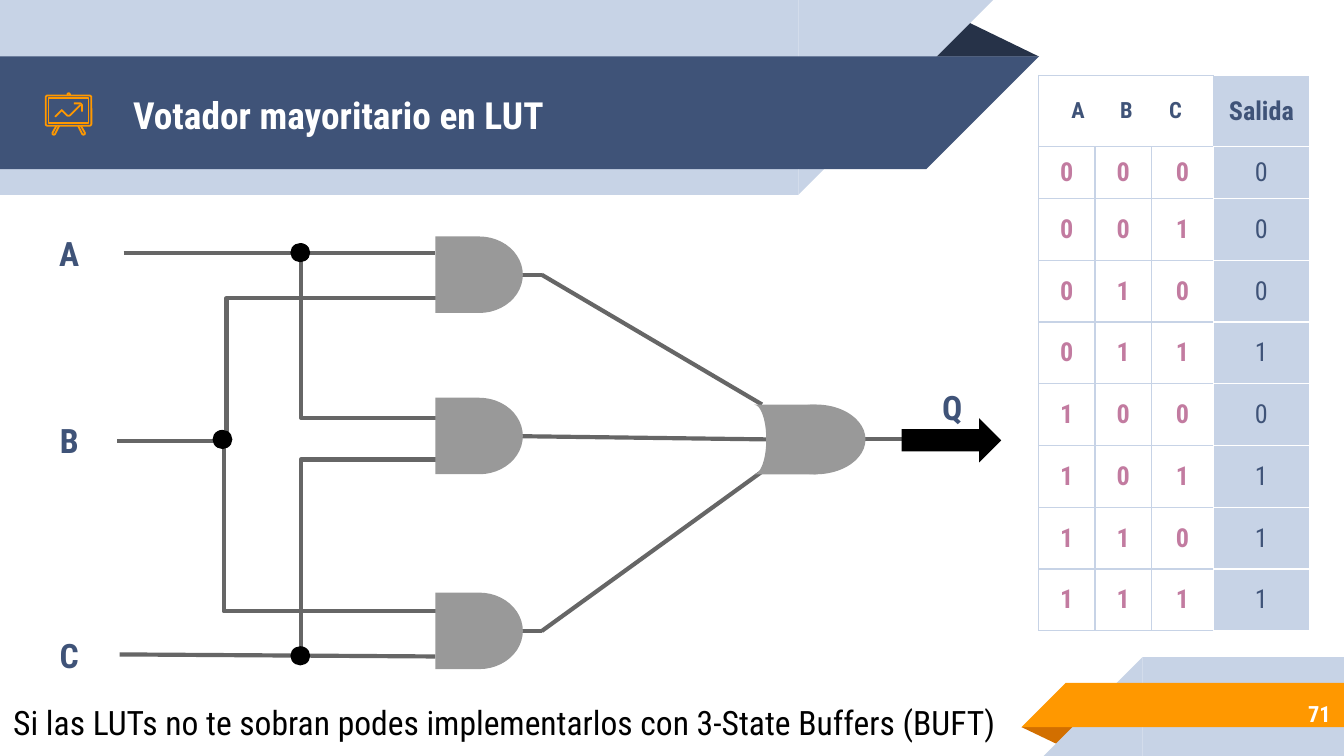
from lxml import etree
from pptx import Presentation
from pptx.dml.color import RGBColor
from pptx.enum.shapes import MSO_CONNECTOR, MSO_SHAPE
from pptx.enum.text import MSO_ANCHOR, PP_ALIGN
from pptx.oxml.ns import qn
from pptx.util import Pt

RECT, CORNER, TRIANGLE = MSO_SHAPE.RECTANGLE, MSO_SHAPE.RIGHT_TRIANGLE, MSO_SHAPE.ISOSCELES_TRIANGLE
AND_GATE, OR_BACK, OVAL = MSO_SHAPE.FLOWCHART_DELAY, MSO_SHAPE.FLOWCHART_STORED_DATA, MSO_SHAPE.OVAL
ROUNDED, ARROW = MSO_SHAPE.ROUNDED_RECTANGLE, MSO_SHAPE.RIGHT_ARROW
STRAIGHT, ELBOW = MSO_CONNECTOR.STRAIGHT, MSO_CONNECTOR.ELBOW
LEFT, CENTER, RIGHT = PP_ALIGN.LEFT, PP_ALIGN.CENTER, PP_ALIGN.RIGHT
TOP, MIDDLE = MSO_ANCHOR.TOP, MSO_ANCHOR.MIDDLE

WHITE = RGBColor(0xFF, 0xFF, 0xFF)
BLACK = RGBColor(0x00, 0x00, 0x00)
NAVY = RGBColor(0x3F, 0x53, 0x78)
DARK = RGBColor(0x26, 0x32, 0x48)
PALE = RGBColor(0xC7, 0xD3, 0xE6)
ORANGE = RGBColor(0xFF, 0x98, 0x00)
RUST = RGBColor(0xD2, 0x6F, 0x00)
GATE = RGBColor(0x99, 0x99, 0x99)
WIRE = RGBColor(0x66, 0x66, 0x66)
PINK = RGBColor(0xC2, 0x7B, 0xA0)


def write(frame, text, size=18, color=NAVY, bold=True, align=CENTER):
    para = frame.paragraphs[0]
    para.alignment = align
    span = para.add_run()
    span.text = text
    span.font.name = "Roboto Condensed"
    span.font.size = Pt(size)
    span.font.bold = bold
    span.font.color.rgb = color


deck = Presentation()
deck.slide_width, deck.slide_height = Pt(720), Pt(405)
page = deck.slides.add_slide(deck.slide_layouts[5])

bands = [
    (TRIANGLE, 495.4, 10.1, 61.2, 20.2, 0, DARK),
    (RECT, 0, 0, 427.7, 104.4, 0, PALE),
    (CORNER, 427.7, 0, 104.4, 104.4, 90, PALE),
    (RECT, 0, 30.2, 496.1, 60.5, 0, NAVY),
    (CORNER, 496.1, 30.2, 60.5, 60.5, 90, NAVY),
    (TRIANGLE, 547.2, 389.5, 31, 10.1, 180, RUST),
    (RECT, 612, 352.1, 108, 52.9, 0, PALE),
    (CORNER, 559.1, 352.1, 52.9, 52.9, 270, PALE),
    (RECT, 571, 365.8, 149, 23.8, 0, ORANGE),
    (CORNER, 547.2, 365.8, 23.8, 23.8, 270, ORANGE),
]
gates = [(AND_GATE, 233.3, top, 46.8, 41, 0, GATE) for top in (126.7, 213.1, 317.5)]
gates += [
    (OR_BACK, 403.9, 216.7, 39.6, 37.4, 180, GATE),
    (OVAL, 410.4, 216.7, 53.3, 37.4, 0, GATE),
    (ARROW, 483.1, 224, 53.3, 23.8, 0, BLACK),
]
dots = [(OVAL, left, top, 10.6, 10.3, 0, BLACK)
        for left, top in ((155.6, 130.2), (113.9, 230.3), (155.6, 346.2))]

wires = [
    (66.2, 135.4, 232.9, 135.4, None),
    (235.4, 159.8, 62.6, 236.2, 0.66),
    (236.2, 223.9, 161.3, 135.4, 1),
    (235.4, 246.2, 161.3, 351.4, 1),
    (236.2, 327.6, 62.6, 236.2, 0.67),
    (64.1, 350.6, 233.3, 351.7, None),
    (279.4, 147.2, 290.2, 147.2, None),
    (290.2, 147.2, 408.2, 216.7, None),
    (279.4, 233.7, 410.4, 235.4, None),
    (279.4, 338.1, 290.2, 338.1, None),
    (290.2, 338.1, 408.2, 252.7, None),
    (459.4, 235.4, 483.1, 235.4, None),
]
for x1, y1, x2, y2, bend in wires:
    wire = page.shapes.add_connector(STRAIGHT if bend is None else ELBOW, Pt(x1), Pt(y1), Pt(x2), Pt(y2))
    wire.line.color.rgb = WIRE
    wire.line.width = Pt(2.25)
    properties = wire.element.spPr
    etree.SubElement(properties, qn("a:effectLst"))
    if bend is not None:
        guides = properties.find(qn("a:prstGeom")).find(qn("a:avLst"))
        etree.SubElement(guides, qn("a:gd"), name="adj1", fmla=f"val {int(bend * 100000)}")

for kind, left, top, width, height, turn, color in bands + gates + dots:
    shape = page.shapes.add_shape(kind, Pt(left), Pt(top), Pt(width), Pt(height))
    shape.shadow.inherit = False
    shape.rotation = turn
    shape.fill.solid()
    shape.fill.fore_color.rgb = color
    shape.line.fill.background()
    if kind == TRIANGLE:
        shape.adjustments[0] = 0.32

icon = []
for kind, left, top, width, height in ((ROUNDED, 24.5, 51.2, 24.5, 16.2), (RECT, 26, 52.7, 21.5, 13.2)):
    icon.append(page.shapes.add_shape(kind, Pt(left), Pt(top), Pt(width), Pt(height)))
icon[0].adjustments[0] = 0.06
left_leg = [(30.2, 67.5), (28.1, 71.2), (28.2, 72), (28.9, 72.2), (29.5, 71.9), (31.7, 67.5)]
strokes = [
    left_leg,
    [(73.6 - x, y) for x, y in left_leg],
    [(37.5, 51.2), (37.4, 50.3), (36.8, 49.9), (36.2, 50.3), (36.1, 51.2)],
    [(43.2, 56.2), (37.4, 61.9), (36.7, 62.1), (36, 61.9), (33.1, 59), (29.5, 62.6)],
    [(39.6, 55.4), (43.2, 55.4), (43.9, 56.2), (43.9, 59.8)],
]
for stroke in strokes:
    corners = [(Pt(x), Pt(y)) for x, y in stroke]
    outline = page.shapes.build_freeform(*corners[0])
    outline.add_line_segments(corners[1:], close=False)
    icon.append(outline.convert_to_shape())
for part in icon:
    part.shadow.inherit = False
    part.fill.background()
    part.line.color.rgb = ORANGE
    part.line.width = Pt(0.96)

title = page.shapes.title
title.left, title.top, title.width, title.height = Pt(64.1), Pt(31), Pt(414), Pt(60.5)
page.shapes.element.append(title.element)
labels = [
    (24.5, 119.5, 25.2, 32.4, MIDDLE, "A", {}),
    (24.5, 219.6, 25.2, 32.4, MIDDLE, "B", {}),
    (24.5, 334.8, 25.2, 32.4, MIDDLE, "C", {}),
    (497.5, 201.6, 25.2, 32.4, MIDDLE, "Q", {}),
    (602.6, 369.4, 117.4, 25.2, MIDDLE, "71", {"size": 12, "color": WHITE, "align": RIGHT}),
    (0, 368.6, 547.9, 32.4, TOP,
     "Si las LUTs no te sobran podes implementarlos con 3-State Buffers (BUFT)",
     {"color": BLACK, "bold": False, "align": LEFT}),
]
texts = [(title, MIDDLE, "Votador mayoritario en LUT", {"size": 20, "color": WHITE, "align": LEFT})]
for left, top, width, height, anchor, text, style in labels:
    box = page.shapes.add_textbox(Pt(left), Pt(top), Pt(width), Pt(height))
    texts.append((box, anchor, text, style))
for box, anchor, text, style in texts:
    frame = box.text_frame
    frame.word_wrap = True
    frame.vertical_anchor = anchor
    frame.margin_left = frame.margin_right = frame.margin_top = frame.margin_bottom = Pt(7.2)
    write(frame, text, **style)

widths = [30.2, 30.2, 33.3, 51.4]
heights = [38.2, 27.8] + [33.1] * 7
holder = page.shapes.add_table(9, 4, Pt(556.4), Pt(40.4), Pt(sum(widths)), Pt(sum(heights)))
truth = holder.table
truth.first_row = truth.horz_banding = False
for column, width in zip(truth.columns, widths):
    column.width = Pt(width)
for row, height in zip(truth.rows, heights):
    row.height = Pt(height)
truth.cell(0, 0).merge(truth.cell(0, 2))

for i in range(9):
    for j in range(4):
        cell = truth.cell(i, j)
        cell.vertical_anchor = MIDDLE
        cell.margin_top = cell.margin_bottom = Pt(5)
        edges = dict.fromkeys(("lnL", "lnR", "lnT", "lnB"), WHITE if j == 3 else PALE)
        if j == 2 and i > 0:
            edges["lnR"] = WHITE
        if j == 3 and i == 0:
            edges["lnL"] = PALE
        for edge, color in edges.items():
            border = etree.SubElement(cell._tc.get_or_add_tcPr(), qn("a:" + edge), w=str(Pt(0.75)))
            paint = etree.SubElement(border, qn("a:solidFill"))
            etree.SubElement(paint, qn("a:srgbClr"), val=str(color))
        if j == 3:
            cell.fill.solid()
            cell.fill.fore_color.rgb = PALE
        else:
            cell.fill.background()
        if i > 0:
            a, b, c = (i - 1) >> 2 & 1, (i - 1) >> 1 & 1, (i - 1) & 1
            bits = (a, b, c, int(a + b + c >= 2))
            write(cell.text_frame, str(bits[j]), size=14, color=NAVY if j == 3 else PINK, bold=j < 3)

header = truth.cell(0, 0)
header.margin_left = Pt(17.5)
stops = etree.SubElement(header.text_frame.paragraphs[0]._p.get_or_add_pPr(), qn("a:tabLst"))
for position in (26.2, 52.4):
    etree.SubElement(stops, qn("a:tab"), pos=str(Pt(position)), algn="l")
write(header.text_frame, "A\tB\tC", size=12, align=LEFT)
write(truth.cell(0, 3).text_frame, "Salida", size=14)

deck.save("out.pptx")
